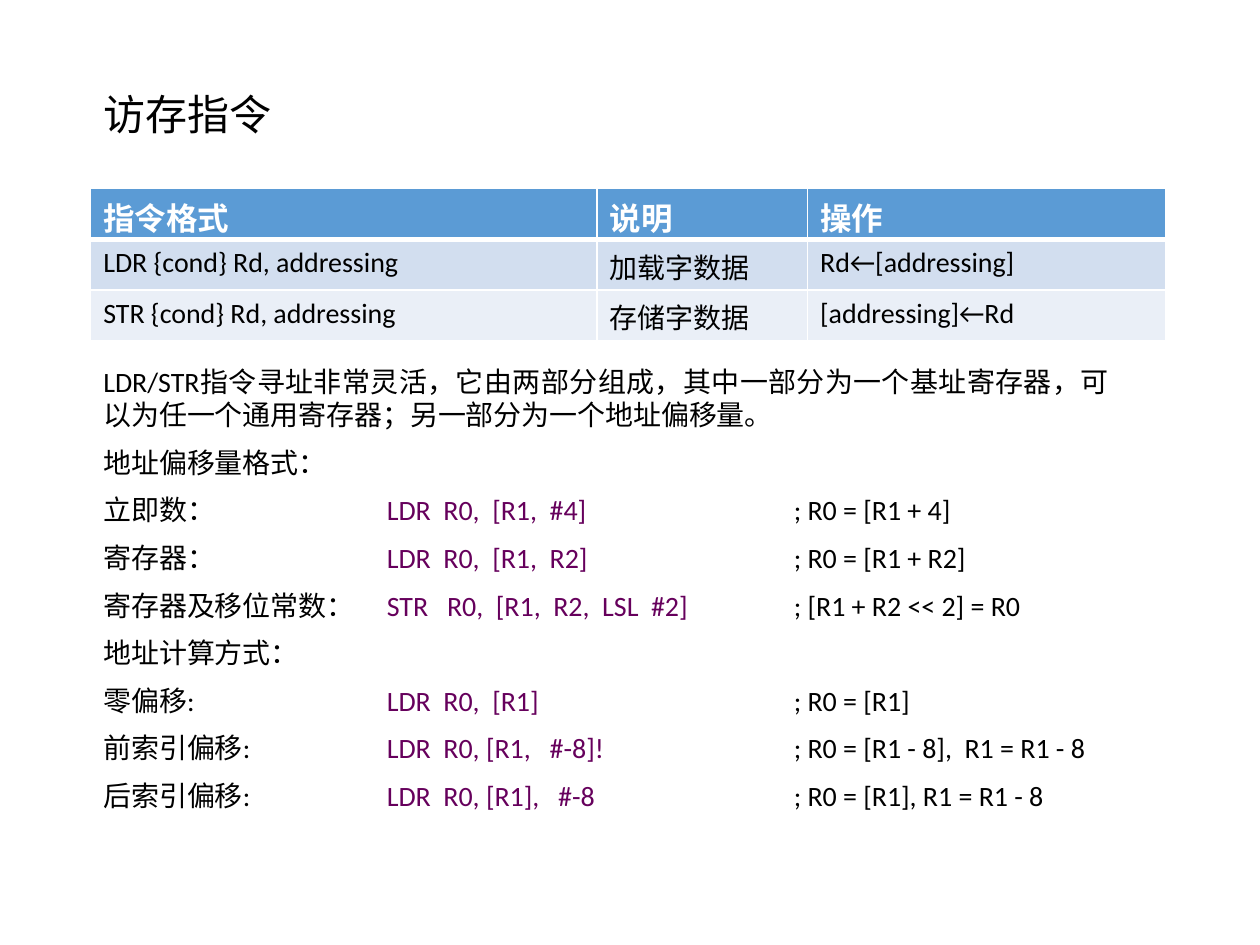
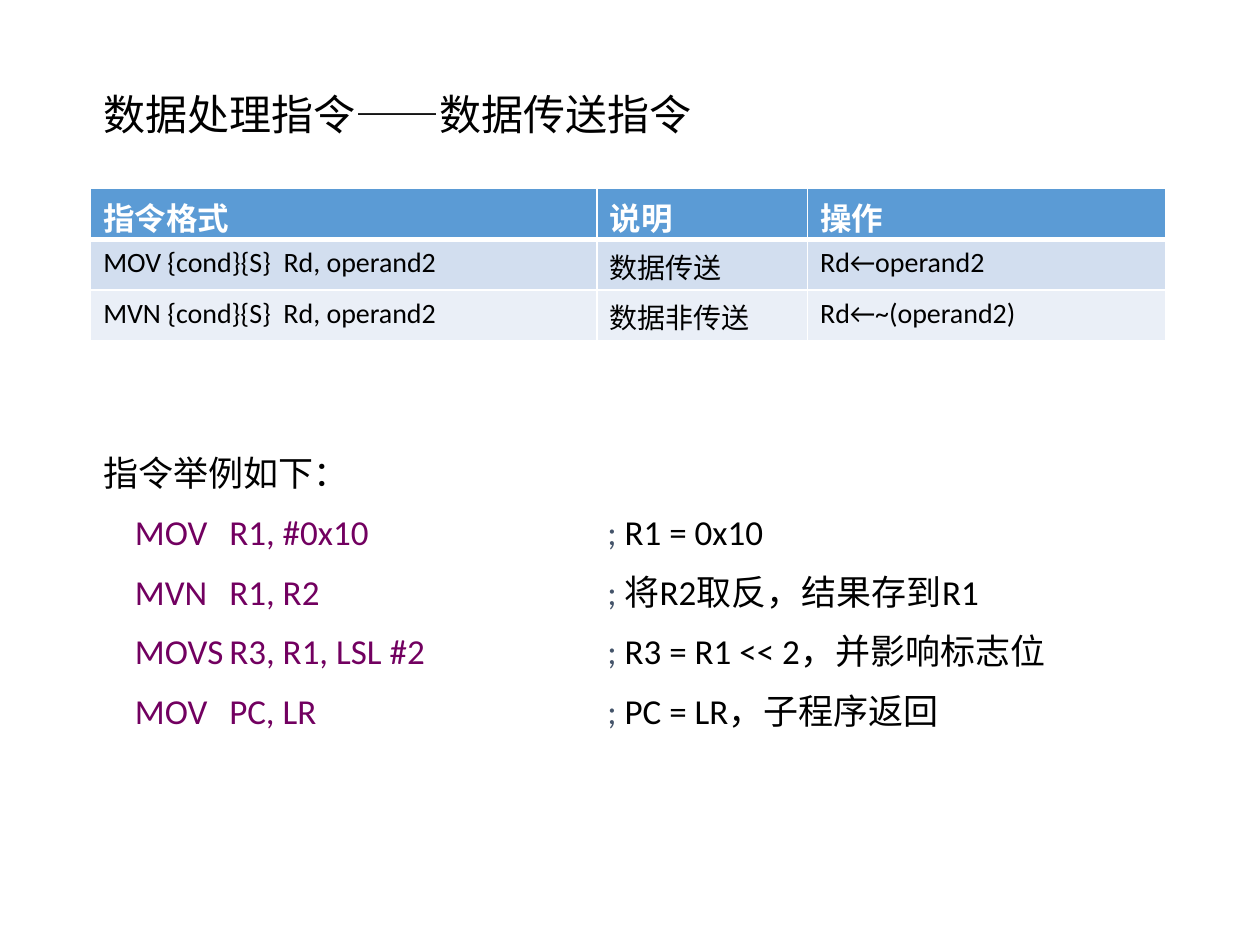
from pptx import Presentation
from pptx.dml.color import RGBColor
from pptx.enum.text import MSO_ANCHOR, MSO_AUTO_SIZE, PP_ALIGN
from pptx.oxml.ns import qn
from pptx.util import Inches, Pt
from lxml.etree import SubElement

BLACK = RGBColor(0, 0, 0)
WHITE = RGBColor(255, 255, 255)
BLUE = RGBColor(0x5B, 0x9B, 0xD5)
BANDS = [RGBColor(0xD2, 0xDE, 0xEF), RGBColor(0xEA, 0xEF, 0xF7)]
PLUM = RGBColor(0x66, 0x00, 0x5C)
GRAPE = RGBColor(0x72, 0x00, 0x60)
SLATE = RGBColor(0x44, 0x54, 0x6A)
LATIN = "Calibri"
HAN = "Noto Sans CJK SC"
LEFT = 0.72
COLS = [4.02, 1.67, 2.84]
HEAD = ["指令格式", "说明", "操作"]


def style(run, size, color, bold=False, face=LATIN):
    font = run.font
    font.size, font.bold, font.name = Pt(size), bold, face
    font.color.rgb = color
    SubElement(run._r.get_or_add_rPr(), qn("a:ea"), typeface=HAN)


def place(shape, box):
    shape.left, shape.top, shape.width, shape.height = map(Inches, box)
    frame = shape.text_frame
    frame.word_wrap = True
    frame.auto_size = MSO_AUTO_SIZE.NONE
    return frame


def add_title(slide, text):
    frame = place(slide.shapes.title, (LEFT, 0.65, 5.78, 0.5))
    frame.vertical_anchor = MSO_ANCHOR.MIDDLE
    frame.text = text
    para = frame.paragraphs[0]
    para.alignment = PP_ALIGN.LEFT
    style(para.runs[0], 24, BLACK, face=HAN)


def add_rule(cell, side, width):
    line = SubElement(cell._tc.get_or_add_tcPr(), qn("a:" + side), w=str(Pt(width)))
    fill = SubElement(line, qn("a:solidFill"))
    SubElement(fill, qn("a:srgbClr"), val=str(WHITE))


def add_grid(slide, rows, box):
    grid = slide.shapes.add_table(len(rows) + 1, len(COLS), *map(Inches, box)).table
    for col, width in zip(grid.columns, COLS):
        col.width = Inches(width)
    for r, row in enumerate([HEAD] + rows):
        top = r == 0
        for c, text in enumerate(row):
            cell = grid.cell(r, c)
            cell.margin_bottom = 0
            for side, width in (("lnL", 1), ("lnR", 1),
                                ("lnT", 3 if r == 1 else 1), ("lnB", 3 if top else 1)):
                add_rule(cell, side, width)
            cell.fill.solid()
            cell.fill.fore_color.rgb = BLUE if top else BANDS[(r - 1) % 2]
            cell.text = text
            run = cell.text_frame.paragraphs[0].runs[0]
            style(run, 18 if top else 16, WHITE if top else BLACK, top)


def clear_indent(deck):
    for level in deck.slide_master._element.iter(qn("p:bodyStyle")):
        first = level.find(qn("a:lvl1pPr"))
        first.set("marL", "0")
        first.attrib.pop("indent", None)


def set_tabs(para, stops):
    props = para._p.get_or_add_pPr()
    SubElement(props, qn("a:buNone"))
    tabs = SubElement(props, qn("a:tabLst"))
    for stop in stops:
        SubElement(tabs, qn("a:tab"), pos=str(Inches(stop)), algn="l")


def add_body(slide, lines, box, size, stops):
    frame = place(slide.placeholders[1], box)
    frame.vertical_anchor = MSO_ANCHOR.TOP
    for n, line in enumerate(lines):
        para = frame.add_paragraph() if n else frame.paragraphs[0]
        para.line_spacing = Pt(size * 1.2)
        para.space_before = Pt(size / 2 if n else 0)
        para.alignment = PP_ALIGN.JUSTIFY if len(line) == 1 else PP_ALIGN.LEFT
        set_tabs(para, stops)
        for text, color in line:
            run = para.add_run()
            run.text = text
            style(run, size, color)


def plain(text):
    return [(text, BLACK)]


def mode(name, code, note):
    return [(name + "\t", BLACK), (code + "\t", PLUM), ("; " + note, BLACK)]


def sample(verb, args, note):
    return [(f"\t{verb}\t{args}\t", GRAPE), ("; ", SLATE), (note, BLACK)]


def add_page(deck, title, rows, lines, box, size, stops):
    slide = deck.slides.add_slide(deck.slide_layouts[1])
    add_title(slide, title)
    add_body(slide, lines, box, size, stops)
    add_grid(slide, rows, (LEFT, 1.49, sum(COLS), 1.2))


def main():
    deck = Presentation()
    deck.slide_width, deck.slide_height = Inches(10), Inches(7.5)
    clear_indent(deck)
    add_page(
        deck, "访存指令",
        [["LDR {cond} Rd, addressing", "加载字数据", "Rd←[addressing]"],
         ["STR {cond} Rd, addressing", "存储字数据", "[addressing]←Rd"]],
        [plain("LDR/STR指令寻址非常灵活，它由两部分组成，其中一部分为一个基址寄存器，"
               "可以为任一个通用寄存器；另一部分为一个地址偏移量。"),
         plain("地址偏移量格式："),
         mode("立即数：", "LDR  R0,  [R1,  #4]", "R0 = [R1 + 4]"),
         mode("寄存器：", "LDR  R0,  [R1,  R2]", "R0 = [R1 + R2]"),
         mode("寄存器及移位常数：", "STR   R0,  [R1,  R2,  LSL  #2]", "[R1 + R2 << 2] = R0"),
         plain("地址计算方式："),
         mode("零偏移:", "LDR  R0,  [R1]", "R0 = [R1]"),
         mode("前索引偏移:", "LDR  R0, [R1,   #-8]!", "R0 = [R1 - 8],  R1 = R1 - 8"),
         mode("后索引偏移:", "LDR  R0, [R1],   #-8", "R0 = [R1], R1 = R1 - 8")],
        (LEFT, 2.84, 8.19, 3.87), 16, [2.25, 5.48])
    add_page(
        deck, "数据处理指令——数据传送指令",
        [["MOV {cond}{S}  Rd, operand2", "数据传送", "Rd←operand2"],
         ["MVN {cond}{S}  Rd, operand2", "数据非传送", "Rd←~(operand2)"]],
        [plain("指令举例如下："),
         sample("MOV", "R1, #0x10", "R1 = 0x10"),
         sample("MVN", "R1, R2", "将R2取反，结果存到R1"),
         sample("MOVS", "R3, R1, LSL #2", "R3 = R1 << 2，并影响标志位"),
         sample("MOV", "PC, LR", "PC = LR，子程序返回")],
        (LEFT, 3.53, 9.25, 2.46), 20, [0.25, 1, 4])
    deck.save("out.pptx")


if __name__ == "__main__":
    main()
